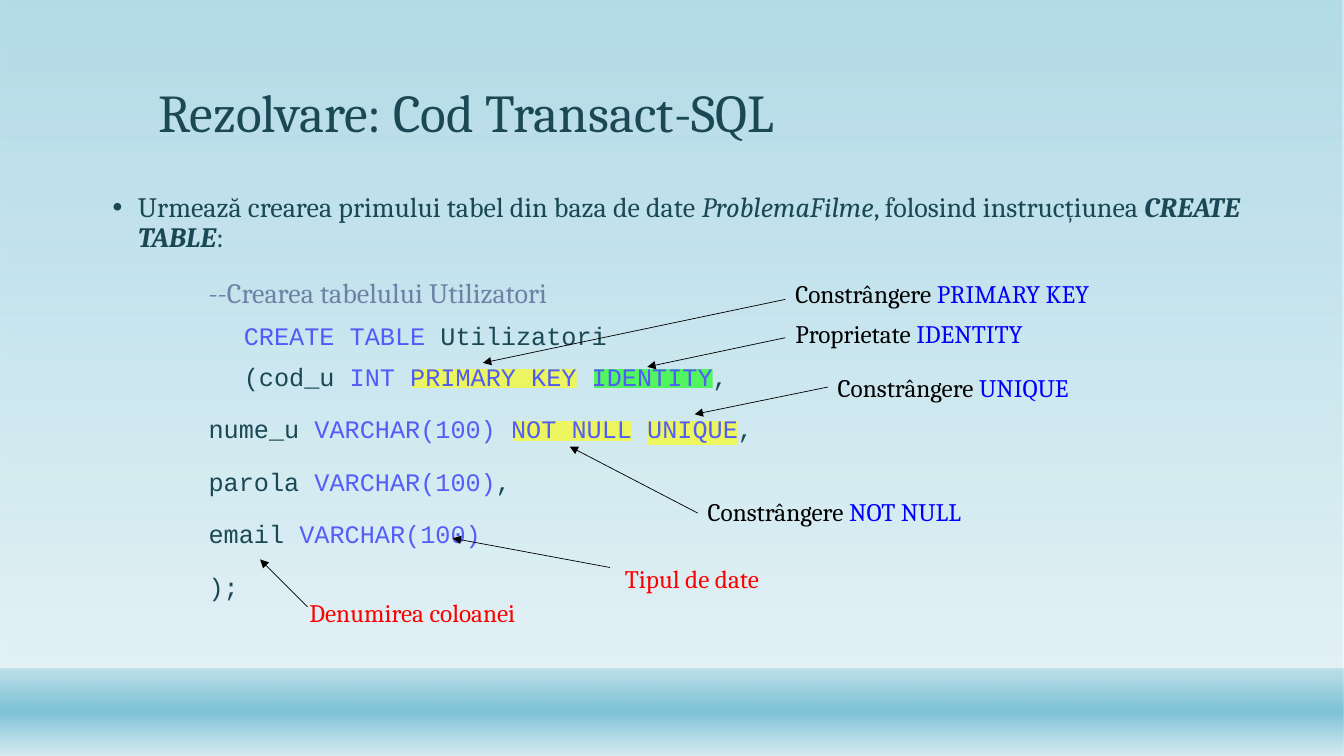
import lxml.etree
import pptx
import pptx.dml.color
import pptx.enum.shapes
import pptx.enum.text
import pptx.oxml
import pptx.oxml.ns
import pptx.util

Inches = pptx.util.Inches
Pt = pptx.util.Pt
qn = pptx.oxml.ns.qn

SERIF = "Cambria"
MONO = "Courier New"
TEAL = "1B4855"
BLUE = "0000FF"
RED = "FF0000"
BLACK = "000000"
YELLOW = "FFFF00"
GREEN = "00FF00"
SLATE = "344179"

KEYWORD = {"color": BLUE, "opacity": 60}
YELLOW_KEYWORD = {**KEYWORD, "highlight": YELLOW}
GREEN_KEYWORD = {**KEYWORD, "highlight": GREEN}
COMMENT = {"color": SLATE, "opacity": 60}

INTRODUCTION = [
    ("Urmează crearea primului tabel din baza de date ", {}),
    ("ProblemaFilme", {"italic": True}),
    (", folosind instrucțiunea ", {}),
    ("CREATE TABLE", {"bold": True, "italic": True}),
    (":", {}),
]

CODE_LINES = [
    (1, 18, SERIF, 20, [("--Crearea tabelului Utilizatori", COMMENT)]),
    (1.35, 10, MONO, 18, [("CREATE TABLE ", KEYWORD), ("Utilizatori", {})]),
    (1.35, 10, MONO, 18, [
        ("(cod_u ", {}), ("INT ", KEYWORD), ("PRIMARY KEY", YELLOW_KEYWORD),
        (" ", KEYWORD), ("IDENTITY", GREEN_KEYWORD), (",", {})]),
    (1, 18, MONO, 18, [
        ("nume_u ", {}), ("VARCHAR(100) ", KEYWORD), ("NOT NULL", YELLOW_KEYWORD),
        (" ", KEYWORD), ("UNIQUE", YELLOW_KEYWORD), (",", {})]),
    (1, 18, MONO, 18, [("parola ", {}), ("VARCHAR(100)", KEYWORD), (",", {})]),
    (1, 18, MONO, 18, [("email ", {}), ("VARCHAR(100)", KEYWORD)]),
    (1, 18, MONO, 18, [(");", {})]),
]

LABELS = [
    (8.21, 3.64, 3.19, [("Constrângere ", BLACK), ("UNIQUE", BLUE)]),
    (7.79, 2.71, 3.57, [("Constrângere ", BLACK), ("PRIMARY KEY", BLUE)]),
    (6.92, 4.87, 3.19, [("Constrângere ", BLACK), ("NOT NULL", BLUE)]),
    (7.79, 3.11, 3.19, [("Proprietate ", BLACK), ("IDENTITY", BLUE)]),
    (6.1, 5.54, 3.19, [("Tipul de date", RED)]),
    (2.97, 5.88, 2.58, [("Denumirea coloanei", RED)]),
]

ARROWS = [
    ((8.21, 3.84), (6.89, 4.11)),
    ((7.79, 2.97), (4.79, 3.6)),
    ((6.92, 5.09), (5.65, 4.43)),
    ((7.79, 3.35), (6.42, 3.64)),
    ((6.05, 5.63), (4.49, 5.34)),
    ((3.05, 6.02), (2.58, 5.55)),
]


def rgb(value):
    return pptx.dml.color.RGBColor.from_string(value)


def add_child(parent, tag, **attributes):
    return lxml.etree.SubElement(parent, qn(tag), attributes)


def add_color(parent, value, opacity):
    color = add_child(parent, "a:srgbClr", val=value)
    add_child(color, "a:alpha", val=str(opacity * 1000))


def add_gradient_band(slide, top, height, stops):
    band = slide.shapes.add_shape(
        pptx.enum.shapes.MSO_SHAPE.RECTANGLE,
        Inches(0), Inches(top), Inches(13.33), Inches(height))
    band.shadow.inherit = False
    band.line.fill.background()
    band.fill.background()
    gradient = pptx.oxml.parse_xml(
        f'<a:gradFill {pptx.oxml.ns.nsdecls("a")} rotWithShape="1"/>')
    stop_list = add_child(gradient, "a:gsLst")
    for position, value, opacity in stops:
        stop = add_child(stop_list, "a:gs", pos=str(position * 1000))
        add_color(stop, value, opacity)
    add_child(gradient, "a:lin", ang="5400000", scaled="0")
    empty_fill = band.element.spPr.find(qn("a:noFill"))
    empty_fill.getparent().replace(empty_fill, gradient)


def add_run(paragraph, text, color=TEAL, opacity=100, highlight=None,
            bold=None, italic=None):
    run = paragraph.add_run()
    run.text = text
    run.font.bold = bold
    run.font.italic = italic
    run.font.color.rgb = rgb(color)
    fill = run.font._element.find(qn("a:solidFill"))
    if opacity < 100:
        add_child(fill[0], "a:alpha", val=str(opacity * 1000))
    if highlight:
        marker = lxml.etree.Element(qn("a:highlight"))
        add_child(marker, "a:srgbClr", val=highlight)
        fill.addnext(marker)


def set_font(paragraph, name, size):
    paragraph.font.name = name
    paragraph.font.size = Pt(size)


def add_text_box(slide, left, top, width, height):
    box = slide.shapes.add_textbox(
        Inches(left), Inches(top), Inches(width), Inches(height))
    box.text_frame.word_wrap = True
    return box.text_frame


def set_title(slide, text):
    title = slide.shapes.title
    title.left, title.top = Inches(1.47), Inches(0.29)
    title.width, title.height = Inches(10.4), Inches(1.19)
    title.element.getparent().append(title.element)
    title.text_frame.vertical_anchor = pptx.enum.text.MSO_ANCHOR.BOTTOM
    paragraph = title.text_frame.paragraphs[0]
    paragraph.alignment = pptx.enum.text.PP_ALIGN.LEFT
    paragraph.line_spacing = 0.9
    add_run(paragraph, text)
    set_font(paragraph, SERIF, 38)


def add_body(slide):
    frame = add_text_box(slide, 0.97, 1.87, 11.56, 5.42)
    paragraph = frame.paragraphs[0]
    paragraph.line_spacing = 0.9
    properties = paragraph._p.get_or_add_pPr()
    properties.set("marL", str(Inches(0.3)))
    properties.set("indent", str(Inches(-0.25)))
    add_child(properties, "a:buFont", typeface="Arial")
    add_child(properties, "a:buChar", char="•")
    set_font(paragraph, SERIF, 20)
    for text, style in INTRODUCTION:
        add_run(paragraph, text, **style)
    for indent, space, font, size, runs in CODE_LINES:
        paragraph = frame.add_paragraph()
        paragraph.line_spacing = 0.9
        paragraph.space_before = Pt(space)
        paragraph._p.get_or_add_pPr().set("marL", str(Inches(indent)))
        set_font(paragraph, font, size)
        for text, style in runs:
            add_run(paragraph, text, **style)


def add_label(slide, left, top, width, runs):
    frame = add_text_box(slide, left, top, width, 0.4)
    frame.auto_size = pptx.enum.text.MSO_AUTO_SIZE.SHAPE_TO_FIT_TEXT
    paragraph = frame.paragraphs[0]
    set_font(paragraph, SERIF, 18)
    for text, color in runs:
        add_run(paragraph, text, color)


def add_arrow(slide, start, end):
    arrow = slide.shapes.add_connector(
        pptx.enum.shapes.MSO_CONNECTOR.STRAIGHT,
        *(Inches(value) for value in start + end))
    arrow.line.color.rgb = rgb(BLACK)
    arrow.line.width = Pt(0.5)
    add_child(arrow.line._get_or_add_ln(), "a:tailEnd", type="triangle")
    add_child(arrow.element.spPr, "a:effectLst")


def main():
    """Build the slide with the annotated CREATE TABLE statement."""
    presentation = pptx.Presentation()
    presentation.slide_width = Inches(13.33)
    presentation.slide_height = Inches(7.5)
    slide = presentation.slides.add_slide(presentation.slide_layouts[5])
    add_gradient_band(slide, 0, 7.5, [(0, "7DC2D6", 58), (88, "D4EBF1", 65)])
    add_gradient_band(slide, 6.63, 0.87, [
        (1, "7DC2D6", 38), (49, "7DC2D6", 100), (100, "D4EBF1", 89)])
    set_title(slide, "Rezolvare: Cod Transact-SQL")
    add_body(slide)
    for label in LABELS:
        add_label(slide, *label)
    for start, end in ARROWS:
        add_arrow(slide, start, end)
    presentation.save("out.pptx")


if __name__ == "__main__":
    main()
